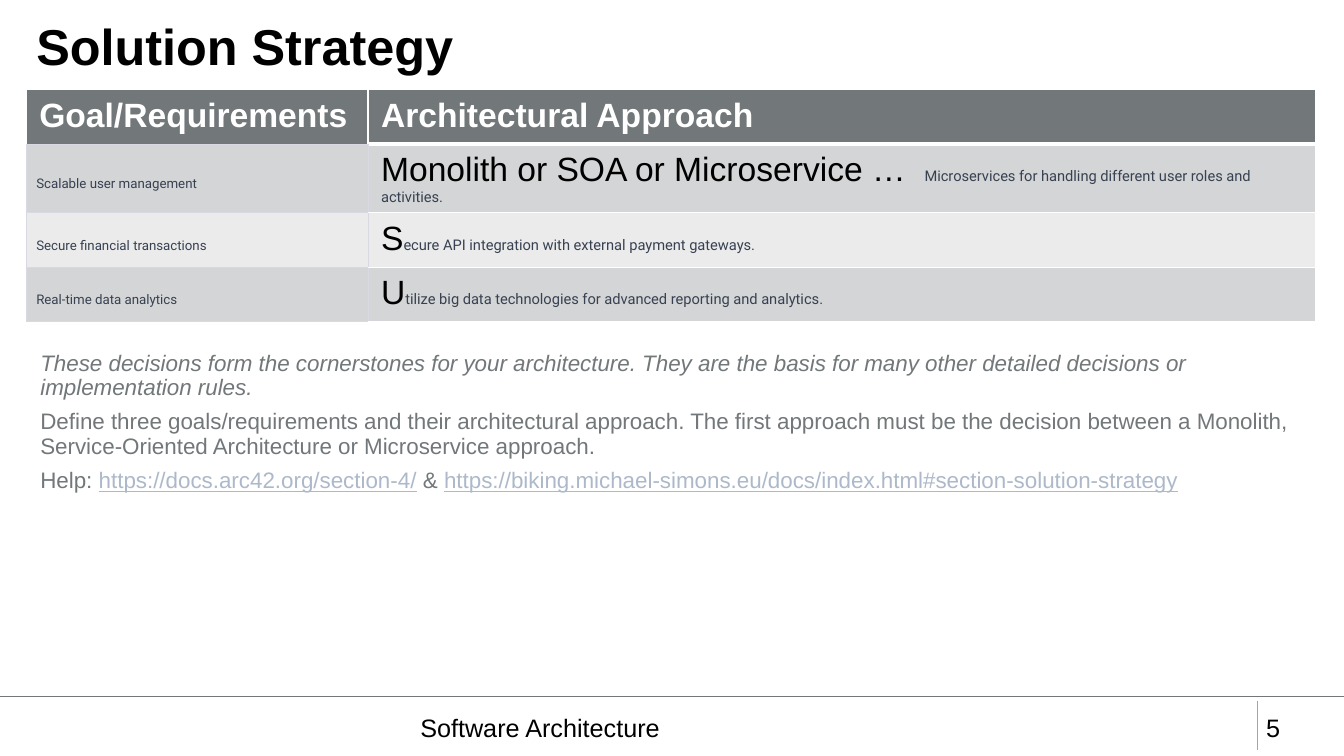
from lxml import etree
from pptx import Presentation
from pptx import util as u
from pptx.dml.color import RGBColor
from pptx.enum import shapes, text
from pptx.oxml import ns

COLORS = {
    "black": "000000", "white": "FFFFFF", "gray": "72777A", "rule": "A5A5A5",
    "slate": "374151", "link": "ADB9CA", "lavender": "D9D9E3",
    "band_dark": "D4D5D6", "band_light": "EBEBEC",
}
NORMAL_INSETS = (0.1, 0.05, 0.1, 0.05)
WIDE_INSETS = (0.13, 0.07, 0.13, 0.07)
GOAL_INSETS = (0.1, 0.1, 0.1, 0.1)
SMALL = {"size": 10.5, "font": "Roboto", "color": "slate"}


def color(name):
    return RGBColor.from_string(COLORS[name])


def add_element(parent, tag, **attributes):
    return etree.SubElement(parent, ns.qn(tag), **attributes)


def write_run(paragraph, content, size=18, font="Arial", color_name="black", bold=False,
              italic=False, underline=False, tracking=None):
    run = paragraph.add_run()
    run.text = content
    run.font.size = u.Pt(size)
    run.font.name = font
    run.font.bold, run.font.italic, run.font.underline = bold, italic, underline
    run.font.color.rgb = color(color_name)
    if tracking:
        run.font._element.set("spc", str(round(tracking * 100)))


def write(frame, paragraphs, line_spacing=1.0, space_before=0, plain=False, **style):
    """Fill a frame; each paragraph is a list of (text, format changes) runs."""
    for index, runs in enumerate(paragraphs):
        paragraph = frame.paragraphs[0] if index == 0 else frame.add_paragraph()
        paragraph.alignment = text.PP_ALIGN.LEFT
        paragraph.line_spacing = line_spacing
        paragraph.space_before = u.Pt(space_before if index else 0)
        if plain:
            properties = paragraph._p.get_or_add_pPr()
            properties.set("marL", "0")
            properties.set("indent", "0")
            add_element(properties, "a:buNone")
        for content, changes in runs:
            options = {**style, **changes}
            if "color" in options:
                options["color_name"] = options.pop("color")
            write_run(paragraph, content, **options)


def set_insets(target, insets):
    sides = ("margin_left", "margin_top", "margin_right", "margin_bottom")
    for side, inset in zip(sides, insets):
        setattr(target, side, u.Inches(inset))


def set_borders(cell, left, right, top, bottom):
    """Each border is a (colour name, width in points) pair."""
    properties = cell._tc.get_or_add_tcPr()
    for side, (name, width) in zip("LRTB", (left, right, top, bottom)):
        line = add_element(properties, f"a:ln{side}", w=str(u.Pt(width)))
        add_element(add_element(line, "a:solidFill"), "a:srgbClr", val=COLORS[name])


class StrategySlide:
    def __init__(self, presentation):
        self.slide = presentation.slides.add_slide(presentation.slide_layouts[1])

    def line(self, start, end, color_name):
        points = [u.Inches(value) for value in (*start, *end)]
        connector = self.slide.shapes.add_connector(shapes.MSO_CONNECTOR.STRAIGHT, *points)
        connector.line.color.rgb = color(color_name)
        connector.line.width = u.Pt(1)
        add_element(connector._element.spPr, "a:effectLst")

    def place(self, shape, box, paragraphs, insets=NORMAL_INSETS,
              anchor=text.MSO_ANCHOR.TOP, **style):
        shape.left, shape.top, shape.width, shape.height = map(u.Inches, box)
        frame = shape.text_frame
        frame.word_wrap = True
        frame.auto_size = text.MSO_AUTO_SIZE.NONE
        frame.vertical_anchor = anchor
        set_insets(frame, insets)
        write(frame, paragraphs, **style)

    def title(self, box, content):
        self.place(self.slide.shapes.title, box, [[(content, {})]], size=36, bold=True,
                   line_spacing=0.9, anchor=text.MSO_ANCHOR.MIDDLE)

    def body(self, box, paragraphs):
        self.place(self.slide.placeholders[1], box, paragraphs, insets=WIDE_INSETS, size=16,
                   color="gray", line_spacing=0.9, space_before=7.5, plain=True)

    def label(self, box, content):
        textbox = self.slide.shapes.add_textbox(*map(u.Inches, box))
        self.place(textbox, box, [[(content, {})]])

    def cell(self, cell, runs, fill, borders, insets=WIDE_INSETS,
             anchor=text.MSO_ANCHOR.TOP, **style):
        set_borders(cell, *borders)
        cell.fill.solid()
        cell.fill.fore_color.rgb = color(fill)
        cell.vertical_anchor = anchor
        set_insets(cell, insets)
        write(cell.text_frame, [runs], **style)

    def table(self, left, top, widths, row_height, headings, rows):
        count = len(rows) + 1
        box = map(u.Inches, (left, top, sum(widths), row_height * count))
        table = self.slide.shapes.add_table(count, len(widths), *box).table
        for column, width in zip(table.columns, widths):
            column.width = u.Inches(width)
        white, thick, pale = ("white", 1), ("white", 3), ("lavender", 0.75)
        for index, heading in enumerate(headings):
            self.cell(table.cell(0, index), [(heading, {})], "gray",
                      (white, white, white, thick if index else pale),
                      size=24, color="white", bold=True)
        for index, (goal, approach) in enumerate(rows, start=1):
            fill = "band_dark" if index % 2 else "band_light"
            self.cell(table.cell(index, 0), [(goal, {})], fill, (pale,) * 4,
                      insets=GOAL_INSETS, anchor=text.MSO_ANCHOR.MIDDLE,
                      line_spacing=1.71, **{**SMALL, "size": 9.5})
            top_border = thick if index == 1 else white
            self.cell(table.cell(index, 1), approach, fill,
                      (pale, white, top_border, white), size=24)


def main():
    presentation = Presentation()
    presentation.slide_width, presentation.slide_height = u.Inches(13.33), u.Inches(7.5)
    page = StrategySlide(presentation)

    page.line((12.47, 6.95), (12.47, 7.44), "rule")
    page.line((0, 6.91), (13.33, 6.91), "gray")
    page.title((0.26, 0.17, 12.8, 0.64), "Solution Strategy")
    page.label((4.07, 7.02, 8.27, 0.4), "Software Architecture")
    page.label((12.46, 7.02, 0.71, 0.4), "5")

    link = {"color": "link", "underline": True}
    page.body((0.27, 3.42, 12.8, 1.91), [
        [("These decisions form the cornerstones for your architecture. They are the basis "
          "for many other detailed decisions or implementation rules.", {"italic": True})],
        [("Define three goals/requirements and their architectural approach. The first "
          "approach must be the decision between a Monolith, Service-Oriented Architecture "
          "or Microservice approach.", {})],
        [("Help: ", {}), ("https://docs.arc42.org/section-4/", link), (" & ", {}),
         ("https://biking.michael-simons.eu/docs/index.html#section-solution-strategy", link)],
    ])

    page.table(0.26, 0.89, (3.39, 9.4), 0.54, ("Goal/Requirements", "Architectural Approach"), [
        ("Scalable user management",
         [("Monolith or SOA or Microservice …", {}), (" ", {"tracking": 6.7}),
          ("Microservices for handling different user roles and activities.", SMALL)]),
        ("Secure financial transactions",
         [("S", {}), ("ecure API integration with external payment gateways.", SMALL)]),
        ("Real-time data analytics",
         [("U", {}),
          ("tilize big data technologies for advanced reporting and analytics.", SMALL)]),
    ])
    presentation.save("out.pptx")


if __name__ == "__main__":
    main()
